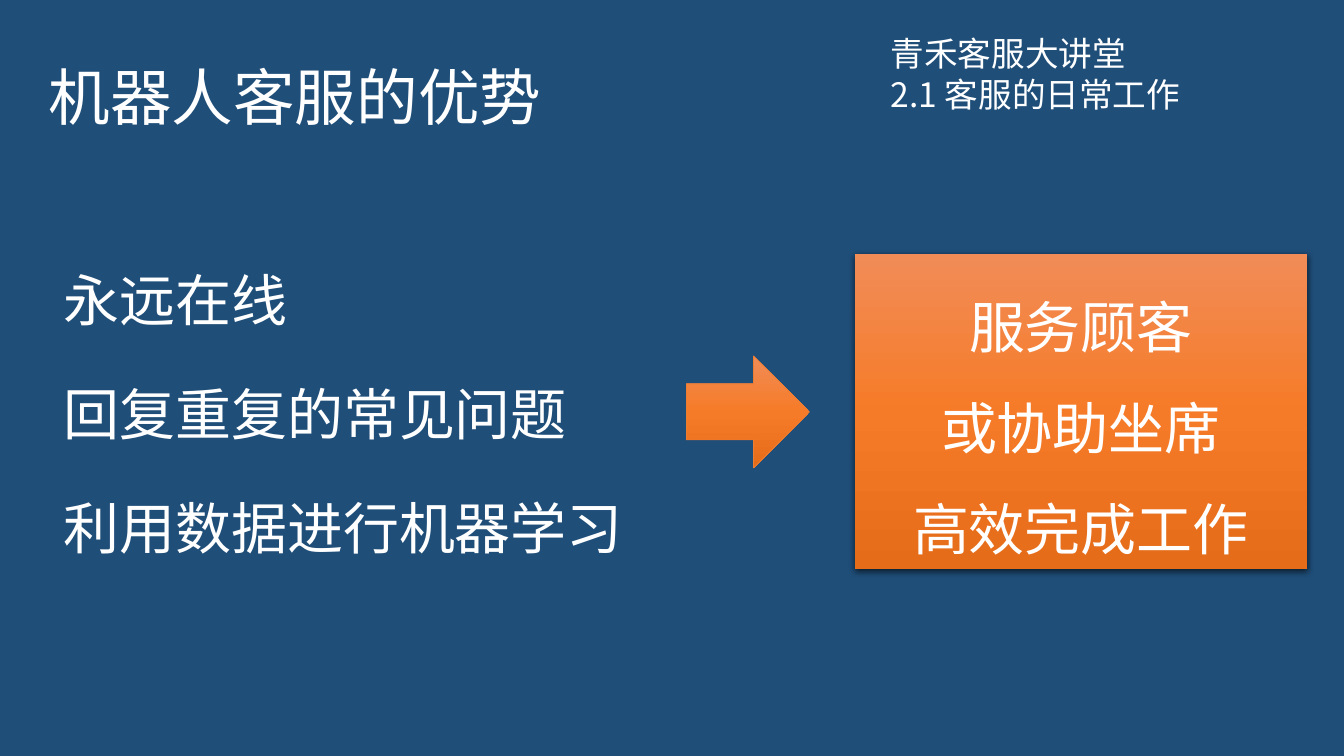
from copy import deepcopy

from lxml import etree
from pptx import Presentation
from pptx import util as u
from pptx.dml.color import RGBColor
from pptx.enum import shapes, text
from pptx.oxml.ns import qn

COLORS = {
    "background": "1F4E79",
    "text": "FFFFFF",
    "outline": "ED7D31",
    "shadow": "000000",
    "gradient_top": "F18C57",
    "gradient_middle": "F67B28",
    "gradient_bottom": "E56C19",
}
FONT = "Noto Sans CJK SC"
INSET = 0.13


def rgb(name):
    return RGBColor.from_string(COLORS[name])


def write(frame, lines, size, align=text.PP_ALIGN.LEFT, spacing=None,
          anchor=text.MSO_ANCHOR.TOP, inset=None, grow=True):
    frame.word_wrap = True
    frame.vertical_anchor = anchor
    if grow:
        frame.auto_size = text.MSO_AUTO_SIZE.SHAPE_TO_FIT_TEXT
    if inset is not None:
        frame.margin_left = frame.margin_right = u.Cm(inset)
        frame.margin_top = frame.margin_bottom = u.Cm(inset)
    for index, line in enumerate(lines):
        paragraph = frame.add_paragraph() if index else frame.paragraphs[0]
        paragraph.alignment = align
        paragraph.line_spacing = spacing
        run = paragraph.add_run()
        run.text = line
        run.font.size = u.Pt(size)
        run.font.name = FONT
        run.font.color.rgb = rgb("text")
        east_asian = etree.SubElement(run.font._element, qn("a:ea"))
        east_asian.set("typeface", FONT)


class Deck:
    """Holds the presentation, its style and the current slide."""

    def __init__(self, width, height):
        self.presentation = Presentation()
        self.presentation.slide_width = u.Cm(width)
        self.presentation.slide_height = u.Cm(height)
        title_only = self.presentation.slide_layouts[5]
        self.slide = self.presentation.slides.add_slide(title_only)
        backdrop = self.slide.background.fill
        backdrop.solid()
        backdrop.fore_color.rgb = rgb("background")

    def title(self, wording, left, top, width, height):
        heading = self.slide.shapes.title
        heading.left, heading.top = u.Cm(left), u.Cm(top)
        heading.width, heading.height = u.Cm(width), u.Cm(height)
        write(heading.text_frame, [wording], 44, spacing=0.9,
              anchor=text.MSO_ANCHOR.MIDDLE, grow=False)

    def label(self, wording, left, top, width, height, **style):
        box = self.slide.shapes.add_textbox(
            *map(u.Cm, (left, top, width, height)))
        write(box.text_frame, [wording], **style)

    def block(self, kind, left, top, width, height):
        """Add a shape with the orange vertical gradient."""
        block = self.slide.shapes.add_shape(
            kind, *map(u.Cm, (left, top, width, height)))
        block.shadow.inherit = False
        block.fill.gradient()
        block.fill.gradient_angle = 270
        stops = block._element.spPr.find(".//" + qn("a:gsLst"))
        stops.insert(1, deepcopy(stops[0]))
        tones = ("gradient_top", "gradient_middle", "gradient_bottom")
        for index, (stop, tone) in enumerate(zip(block.fill.gradient_stops, tones)):
            stop.position = index / 2
            stop.color.rgb = rgb(tone)
        block.line.fill.background()
        return block

    def arrow(self, *place):
        arrow = self.block(shapes.MSO_SHAPE.RIGHT_ARROW, *place)
        arrow.line.color.rgb = rgb("outline")
        arrow.line.width = u.Pt(0.5)

    def panel(self, lines, *place):
        panel = self.block(shapes.MSO_SHAPE.RECTANGLE, *place)
        effects = panel._element.spPr.find(qn("a:effectLst"))
        shadow = etree.SubElement(
            effects, qn("a:outerShdw"), blurRad=str(u.Pt(4.5)),
            dist=str(u.Pt(1.5)), dir="5400000", algn="ctr", rotWithShape="0")
        tone = etree.SubElement(shadow, qn("a:srgbClr"), val=COLORS["shadow"])
        etree.SubElement(tone, qn("a:alpha"), val="63000")
        write(panel.text_frame, lines, 40, align=text.PP_ALIGN.CENTER,
              spacing=1.5, inset=INSET)


def main():
    deck = Deck(33.87, 19.05)
    deck.label("2.1 客服的日常工作", 22.2, 1.73, 7.95, 1.27, size=24)
    deck.label("青禾客服大讲堂", 22.2, 0.71, 6.5, 1.27, size=24)
    deck.title("机器人客服的优势", 0.97, 0.69, 18.29, 3.68)

    advantages = [("永远在线", 11.4), ("回复重复的常见问题", 23.01),
                  ("利用数据进行机器学习", 23.01)]
    for row, (advantage, width) in enumerate(advantages):
        deck.label(advantage, 1.47, 5.72 + row * 2.87, width, 2.82,
                   size=40, spacing=1.5, inset=INSET)

    deck.arrow(17.3, 8.97, 3.1, 2.82)
    deck.panel(["服务顾客", "或协助坐席", "高效完成工作"], 21.54, 6.4, 11.4, 7.95)
    deck.presentation.save("out.pptx")


if __name__ == "__main__":
    main()
